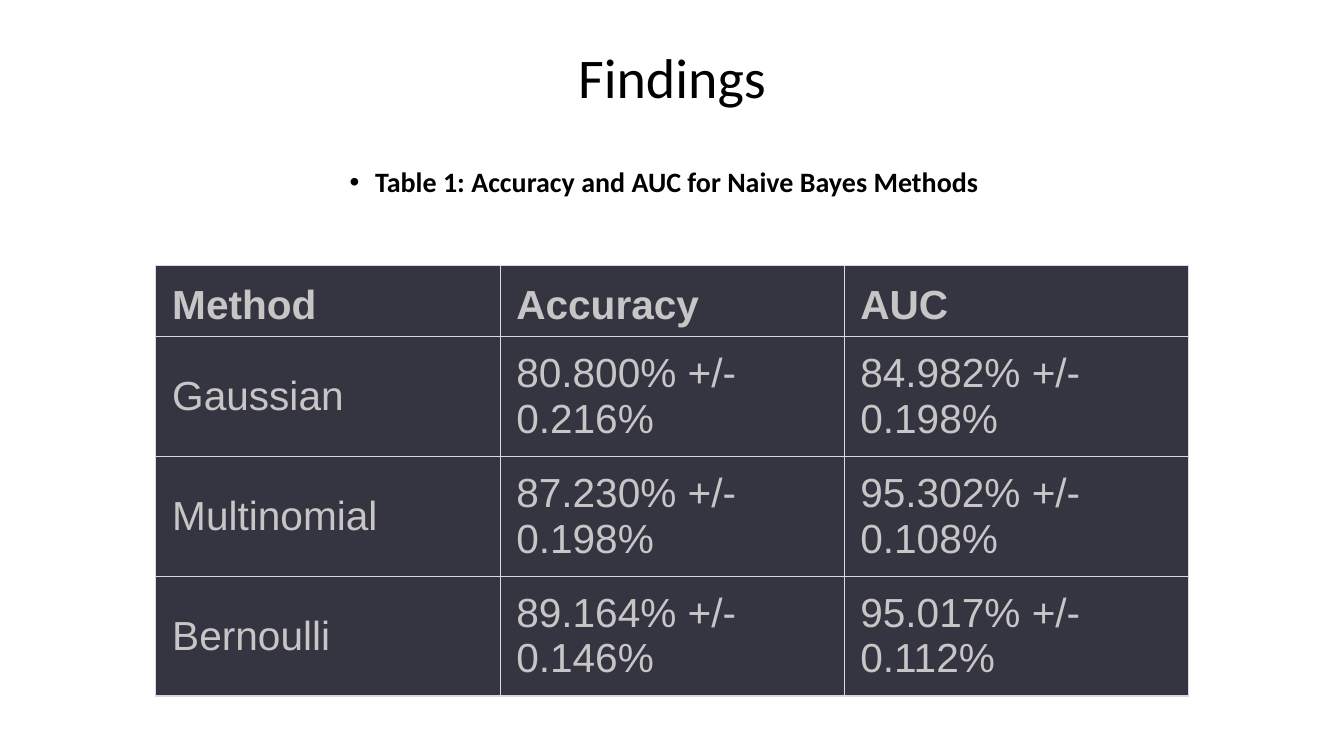
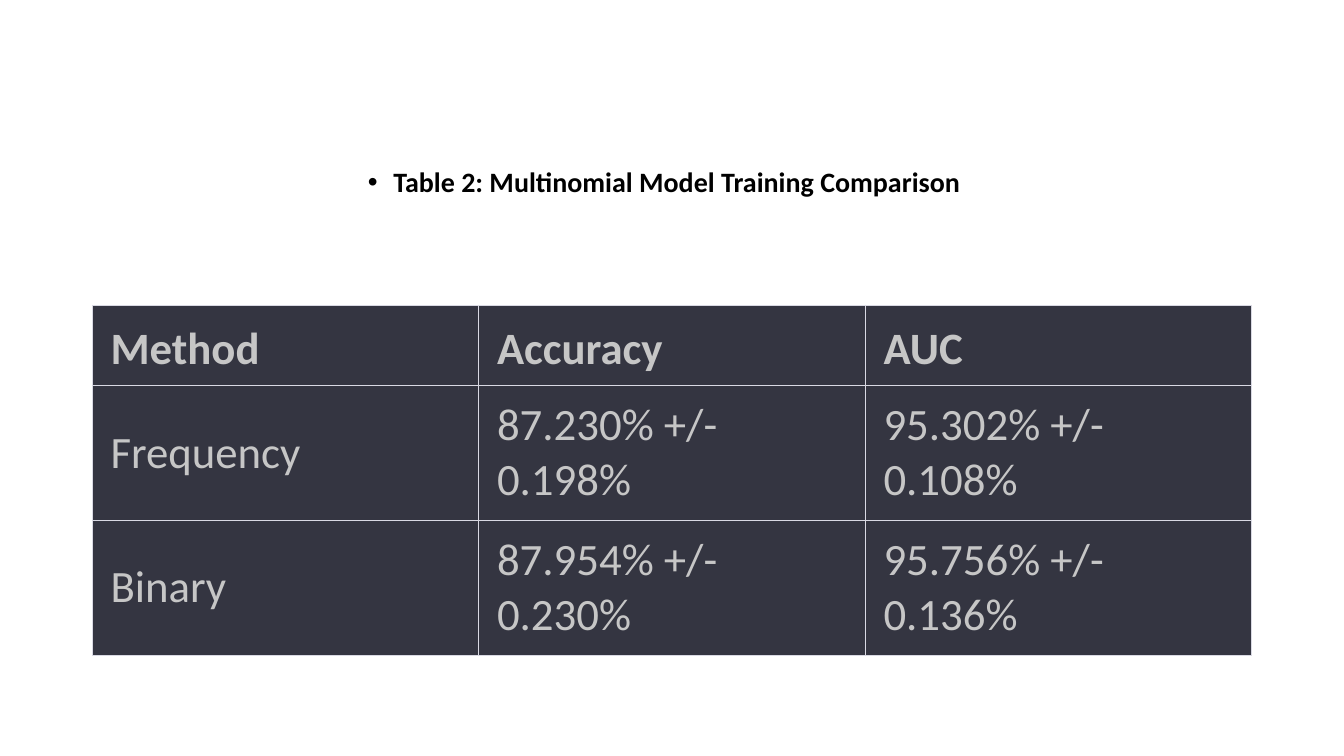
"""Build two slides comparing Naive Bayes results in dark tables."""
from lxml.etree import SubElement
from pptx import Presentation
from pptx.dml.color import RGBColor
from pptx.enum.text import MSO_ANCHOR, MSO_AUTO_SIZE, PP_ALIGN
from pptx.oxml.ns import qn
from pptx.util import Cm, Pt

COLORS = {"text": "000000", "cell": "343541", "cell_text": "C6C6C6", "border": "D9D9E3"}
SLIDE_W, SLIDE_H = 33.87, 19.05
MARGIN = 2.79
BORDERS = {"a:lnL": 0.75, "a:lnR": 0.75, "a:lnT": 1, "a:lnB": 1}
PARAGRAPH = {"alignment": PP_ALIGN.CENTER, "line_spacing": 0.9, "space_before": Pt(0)}
TITLE_FONT = {"name": "Calibri", "size": Pt(40), "bold": False}
CAPTION_FONT = {"name": "Calibri", "size": Pt(20), "bold": True}

METHODS = {
    "rows": [
        ("Method", "Accuracy", "AUC"),
        ("Gaussian", "80.800% +/- 0.216%", "84.982% +/- 0.198%"),
        ("Multinomial", "87.230% +/- 0.198%", "95.302% +/- 0.108%"),
        ("Bernoulli", "89.164% +/- 0.146%", "95.017% +/- 0.112%"),
    ],
    "top": 6.68, "col_w": 8.67, "head_h": 1.8, "row_h": 3.02,
    "pad": 0.41, "font": "Arial", "size": 29,
}
TRAINING = {
    "rows": [
        ("Method", "Accuracy", "AUC"),
        ("Frequency", "87.230% +/- 0.198%", "95.302% +/- 0.108%"),
        ("Binary", "87.954% +/- 0.230%", "95.756% +/- 0.136%"),
    ],
    "top": 7.7, "col_w": 9.74, "head_h": 2.01, "row_h": 3.4,
    "pad": 0.46, "font": "Calibri", "size": 32,
}


def set_attrs(obj, values):
    """Set each named attribute on an object."""
    for name, value in values.items():
        setattr(obj, name, value)


def set_font(font, values, color):
    """Format a font and give it a solid colour."""
    set_attrs(font, values)
    font.color.rgb = RGBColor.from_string(COLORS[color])


def fill_placeholder(sp, text, top, height, font, frame):
    """Move a placeholder, write its single paragraph and return that paragraph."""
    set_attrs(sp, {"left": Cm(MARGIN), "top": Cm(top),
                   "width": Cm(SLIDE_W - 2 * MARGIN), "height": Cm(height)})
    tf = sp.text_frame
    set_attrs(tf, {"auto_size": MSO_AUTO_SIZE.NONE, "word_wrap": True, **frame})
    p = tf.paragraphs[0]
    set_attrs(p, PARAGRAPH)
    r = p.add_run()
    r.text = text
    set_font(r.font, font, "text")
    return p


def add_title(s, text):
    """Write the slide title, or drop its placeholder when there is none."""
    sp = s.shapes.title
    if text:
        fill_placeholder(sp, text, 0.48, 3.1, TITLE_FONT,
                         {"vertical_anchor": MSO_ANCHOR.MIDDLE})
    else:
        sp.element.getparent().remove(sp.element)


def add_caption(s, text):
    """Write the bulleted table caption in the body placeholder."""
    p = fill_placeholder(s.placeholders[1], text, 4.06, 2.13, CAPTION_FONT,
                         {"vertical_anchor": MSO_ANCHOR.TOP, "margin_top": Cm(0.19)})
    p.space_after = Pt(6)
    pPr = p._p.get_or_add_pPr()
    pPr.set("marL", "0")
    pPr.set("indent", str(-Cm(0.64)))
    SubElement(pPr, qn("a:buFont"), typeface="Arial")
    SubElement(pPr, qn("a:buChar"), char="•")


def add_borders(cell):
    """Draw the four borders of a table cell."""
    tcPr = cell._tc.get_or_add_tcPr()
    for i, (tag, width) in enumerate(BORDERS.items()):
        ln = SubElement(tcPr, qn(tag), w=str(Pt(width)))
        fill = SubElement(ln, qn("a:solidFill"))
        SubElement(fill, qn("a:srgbClr"), val=COLORS["border"])
        tcPr.insert(i, ln)


def format_cell(cell, text, head, spec):
    """Write and format one table cell."""
    pad = spec["pad"]
    set_attrs(cell, {
        "text": text,
        "vertical_anchor": MSO_ANCHOR.BOTTOM if head else MSO_ANCHOR.MIDDLE,
        "margin_left": Cm(pad), "margin_right": Cm(pad),
        "margin_top": Cm(pad / 2), "margin_bottom": Cm(pad / 2),
    })
    cell.fill.solid()
    cell.fill.fore_color.rgb = RGBColor.from_string(COLORS["cell"])
    add_borders(cell)
    font = {"name": spec["font"], "size": Pt(spec["size"]), "bold": head}
    set_font(cell.text_frame.paragraphs[0].runs[0].font, font, "cell_text")


def add_results(s, spec):
    """Add a results table centred across the slide."""
    rows = spec["rows"]
    n_cols = len(rows[0])
    width = n_cols * spec["col_w"]
    heights = [spec["head_h"]] + [spec["row_h"]] * (len(rows) - 1)
    tbl = s.shapes.add_table(len(rows), n_cols, Cm((SLIDE_W - width) / 2),
                             Cm(spec["top"]), Cm(width), Cm(sum(heights))).table
    set_attrs(tbl, {"first_row": False, "horz_banding": False})
    for i, (row, height) in enumerate(zip(rows, heights)):
        tbl.rows[i].height = Cm(height)
        for j, text in enumerate(row):
            format_cell(tbl.cell(i, j), text, i == 0, spec)


def add_table_slide(prs, title, caption, spec):
    """Add a slide with an optional title, a caption and a table."""
    s = prs.slides.add_slide(prs.slide_layouts[1])
    add_title(s, title)
    add_caption(s, caption)
    add_results(s, spec)


def main():
    """Create and save the presentation."""
    prs = Presentation()
    set_attrs(prs, {"slide_width": Cm(SLIDE_W), "slide_height": Cm(SLIDE_H)})
    add_table_slide(prs, "Findings", "Table 1: Accuracy and AUC for Naive Bayes Methods", METHODS)
    add_table_slide(prs, None, "Table 2: Multinomial Model Training Comparison", TRAINING)
    prs.save("out.pptx")


if __name__ == "__main__":
    main()
